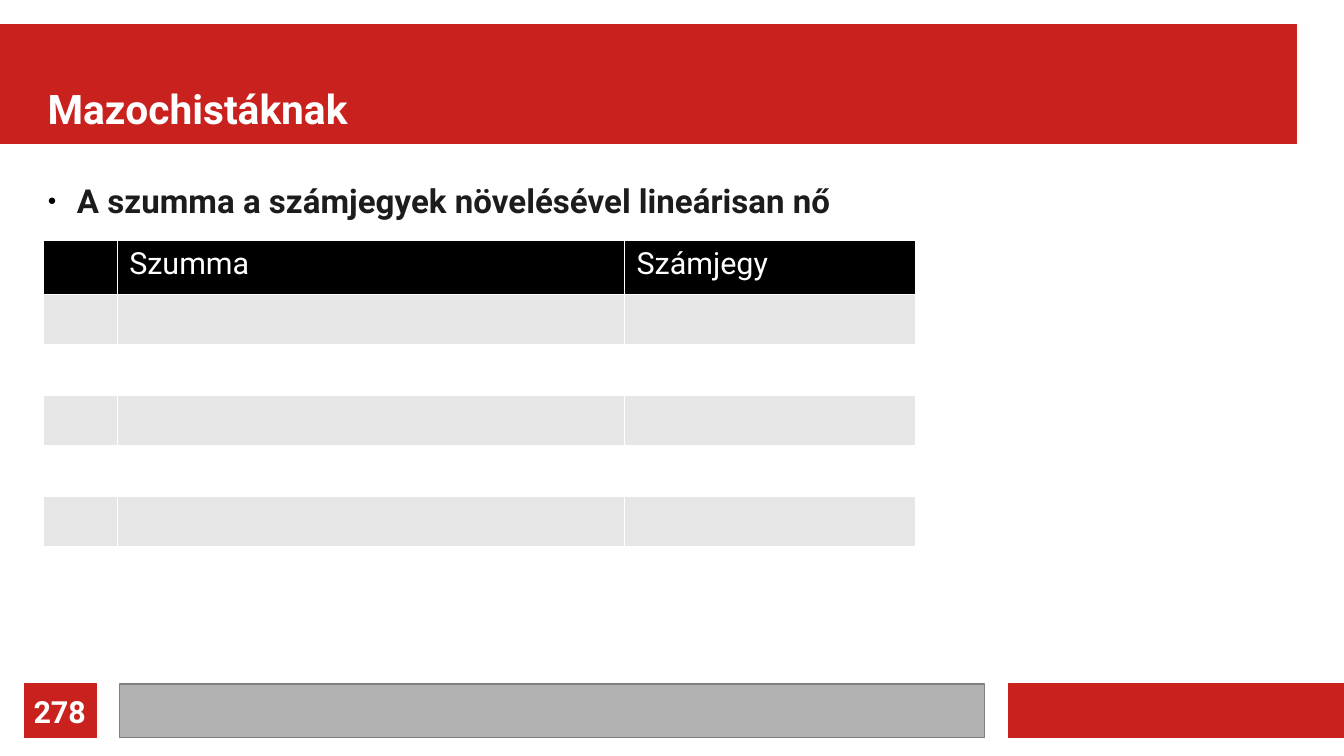
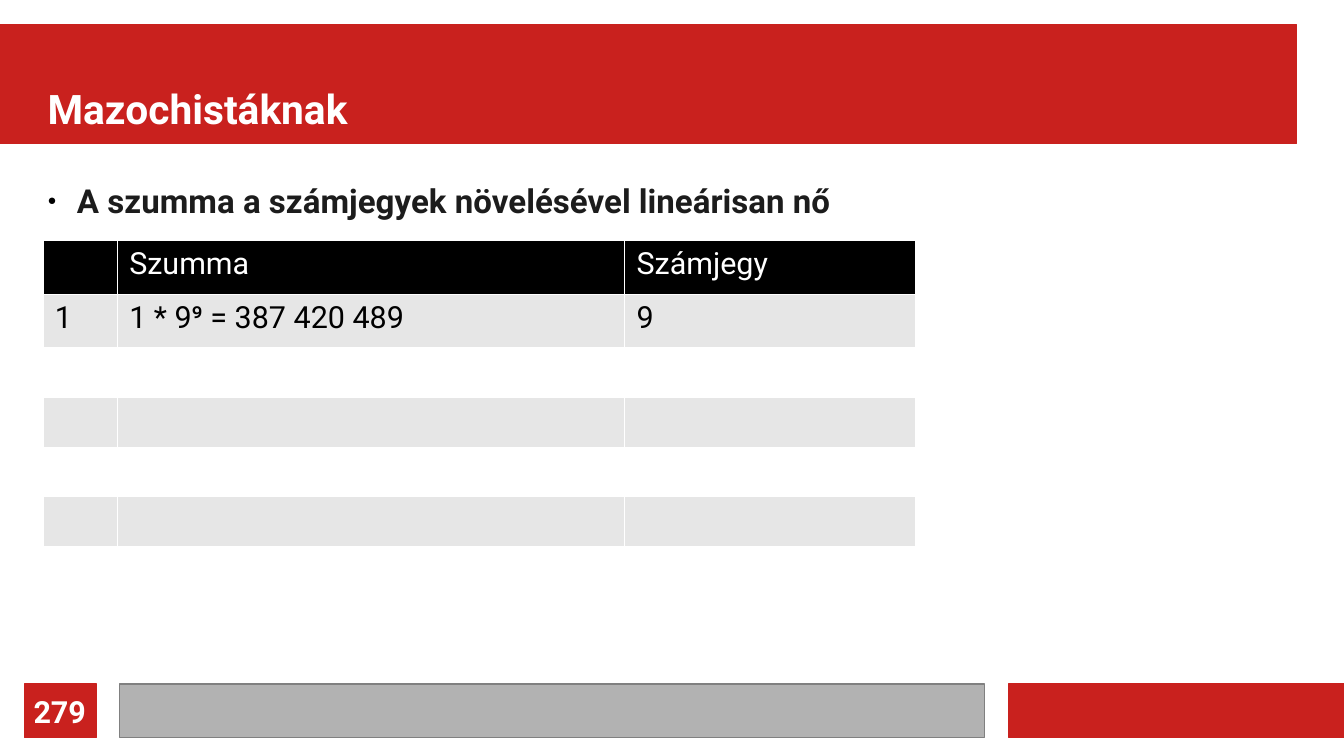
from lxml import etree
from pptx import Presentation
from pptx.dml.color import RGBColor
from pptx.enum.shapes import MSO_SHAPE
from pptx.enum.text import MSO_ANCHOR, MSO_AUTO_SIZE, PP_ALIGN
from pptx.oxml.ns import qn
from pptx.util import Inches, Pt

RECTANGLE = MSO_SHAPE.RECTANGLE
TOP, MIDDLE, BOTTOM = MSO_ANCHOR.TOP, MSO_ANCHOR.MIDDLE, MSO_ANCHOR.BOTTOM
LEFT, CENTER = PP_ALIGN.LEFT, PP_ALIGN.CENTER
NO_AUTOFIT = MSO_AUTO_SIZE.NONE

FONT = "Roboto"
RED, GRAY, DARK_GRAY = "C9211E", "B2B2B2", "808080"
BLACK, WHITE, INK, STRIPE = "000000", "FFFFFF", "1C1C1C", "E6E6E6"

FOOTER_TOP, FOOTER_HEIGHT = 5.61, 0.44
TITLE_BAND = (0, 0.2, 10.63, 0.98)
NUMBER_BAND = (0.2, FOOTER_TOP, 0.59, FOOTER_HEIGHT)
FOOTER_BAND = (0.98, FOOTER_TOP, 7.09, FOOTER_HEIGHT)
CORNER_BAND = (8.27, FOOTER_TOP, 2.76, FOOTER_HEIGHT)
BANDS = [
    (TITLE_BAND, RED, RED),
    (CORNER_BAND, RED, RED),
    (FOOTER_BAND, GRAY, DARK_GRAY),
    (NUMBER_BAND, RED, RED),
]
TITLE_BOX = (0.39, 0.3, 10.24, 0.79)
STATEMENT_BOX = (0.39, 1.48, 10.04, 0.49)
NUMBER_BOX = (-0.2, FOOTER_TOP, 1.38, FOOTER_HEIGHT)

BULLET_INDENT = Inches(0.24)
TABLE_LEFT, TABLE_TOP, TABLE_HEIGHT = 0.35, 1.97, 2.51
COLUMN_WIDTHS = [0.61, 4.16, 2.38]
TEXT_ROW_HEIGHT = 0.44
ROW_COUNT = 6
BORDER_SIDES = ["a:lnL", "a:lnR", "a:lnT", "a:lnB"]

TITLE = "Mazochistáknak"
STATEMENT = "A szumma a számjegyek növelésével lineárisan nő"
HEADER = ["", "Szumma", "Számjegy"]
FIRST_SUM = ["1", "1 * 9⁹ = 387 420 489", "9"]
EMPTY_ROW = [""] * len(HEADER)
SLIDES = [
    ("278", [HEADER]),
    ("279", [HEADER, FIRST_SUM]),
]


def color(value):
    return RGBColor.from_string(value)


def write(text_frame, text, size, font_color, anchor, align):
    text_frame.margin_left = text_frame.margin_right = 0
    text_frame.margin_top = text_frame.margin_bottom = 0
    text_frame.word_wrap = True
    text_frame.auto_size = NO_AUTOFIT
    text_frame.vertical_anchor = anchor
    paragraph = text_frame.paragraphs[0]
    paragraph.text = text
    paragraph.alignment = align
    paragraph.space_before = Pt(0)
    paragraph.font.name = FONT
    paragraph.font.size = Pt(size)
    paragraph.font.bold = True
    paragraph.font.color.rgb = color(font_color)
    return paragraph


presentation = Presentation()
presentation.slide_width = Inches(11.02)
presentation.slide_height = Inches(6.2)

layout = presentation.slide_layouts[1]
for placeholder, box in zip(layout.placeholders, [TITLE_BOX, STATEMENT_BOX]):
    placeholder.left, placeholder.top, placeholder.width, placeholder.height = map(Inches, box)

for number, filled_rows in SLIDES:
    slide = presentation.slides.add_slide(layout)

    title = slide.shapes.title
    for box, fill_color, line_color in BANDS:
        band = slide.shapes.add_shape(RECTANGLE, *map(Inches, box))
        band.shadow.inherit = False
        band.fill.solid()
        band.fill.fore_color.rgb = color(fill_color)
        band.line.color.rgb = color(line_color)
        band.line.width = Pt(0)
        title.element.addprevious(band.element)

    write(title.text_frame, TITLE, 24, WHITE, BOTTOM, LEFT)

    statement = write(slide.placeholders[1].text_frame, STATEMENT, 19.5, INK, TOP, LEFT)
    statement.space_after = Pt(8.5)
    properties = statement._p.get_or_add_pPr()
    properties.set("marL", str(BULLET_INDENT))
    properties.set("indent", str(-BULLET_INDENT))
    bullet_color = etree.Element(qn("a:buClr"))
    etree.SubElement(bullet_color, qn("a:srgbClr"), val=BLACK)
    bullet_size = etree.Element(qn("a:buSzPct"), val="45000")
    bullet_character = etree.Element(qn("a:buChar"), char="●")
    font_defaults = properties.find(qn("a:defRPr"))
    for bullet_part in (bullet_color, bullet_size, bullet_character):
        font_defaults.addprevious(bullet_part)

    empty_count = ROW_COUNT - len(filled_rows)
    rows = filled_rows + [EMPTY_ROW] * empty_count
    empty_height = (TABLE_HEIGHT - TEXT_ROW_HEIGHT * len(filled_rows)) / empty_count
    table = slide.shapes.add_table(
        ROW_COUNT, len(HEADER), Inches(TABLE_LEFT), Inches(TABLE_TOP),
        Inches(sum(COLUMN_WIDTHS)), Inches(TABLE_HEIGHT)).table
    for column, width in zip(table.columns, COLUMN_WIDTHS):
        column.width = Inches(width)

    for row_index, texts in enumerate(rows):
        row = table.rows[row_index]
        row.height = Inches(TEXT_ROW_HEIGHT if any(texts) else empty_height)
        is_header = row_index == 0
        stripe_color = STRIPE if row_index % 2 else WHITE
        for cell, text in zip(row.cells, texts):
            cell.fill.solid()
            cell.fill.fore_color.rgb = color(BLACK if is_header else stripe_color)
            cell_properties = cell._tc.get_or_add_tcPr()
            for side_index, side in enumerate(BORDER_SIDES):
                border = etree.Element(qn(side), w=str(Pt(0.06)))
                border_fill = etree.SubElement(border, qn("a:solidFill"))
                etree.SubElement(border_fill, qn("a:srgbClr"), val=WHITE)
                cell_properties.insert(side_index, border)
            paragraph = cell.text_frame.paragraphs[0]
            paragraph.text = text
            paragraph.font.name = FONT
            paragraph.font.size = Pt(18)
            paragraph.font.bold = False
            paragraph.font.color.rgb = color(WHITE if is_header else BLACK)

    number_box = slide.shapes.add_textbox(*map(Inches, NUMBER_BOX))
    write(number_box.text_frame, number, 18, WHITE, MIDDLE, CENTER)

presentation.save("out.pptx")
